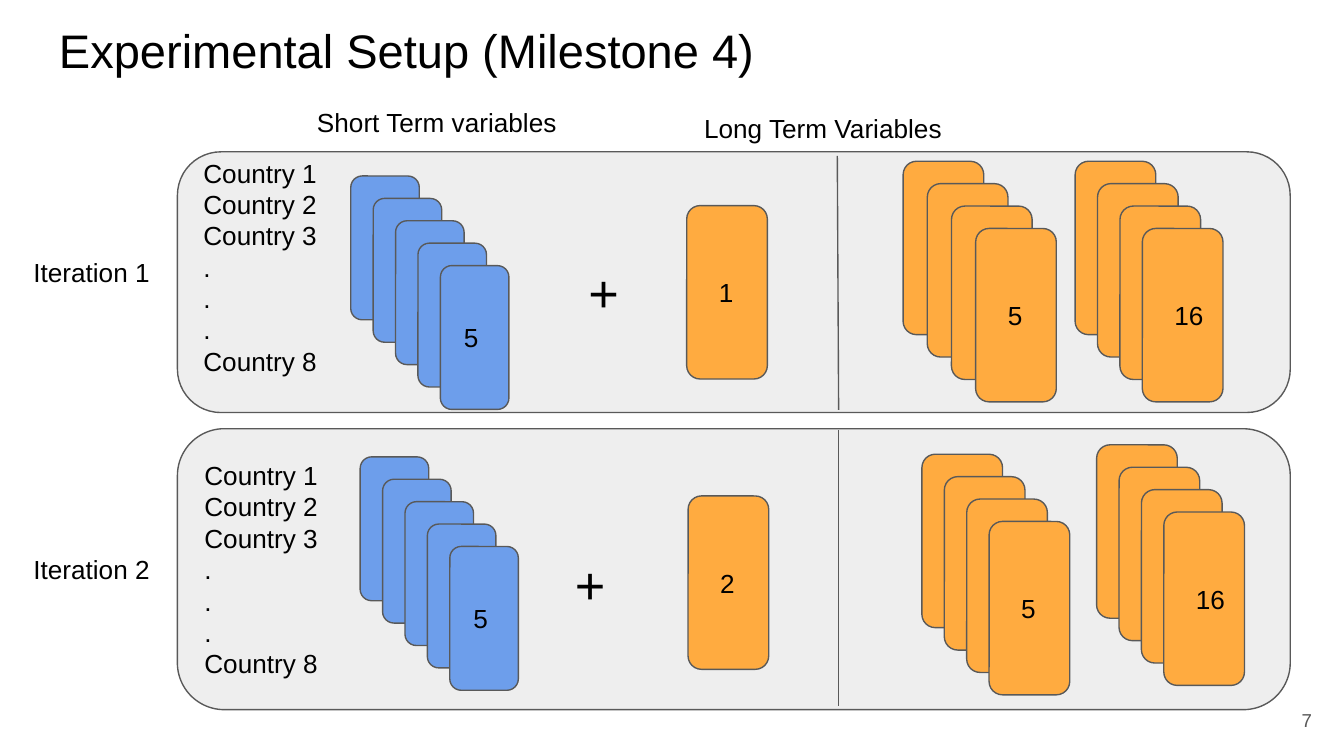
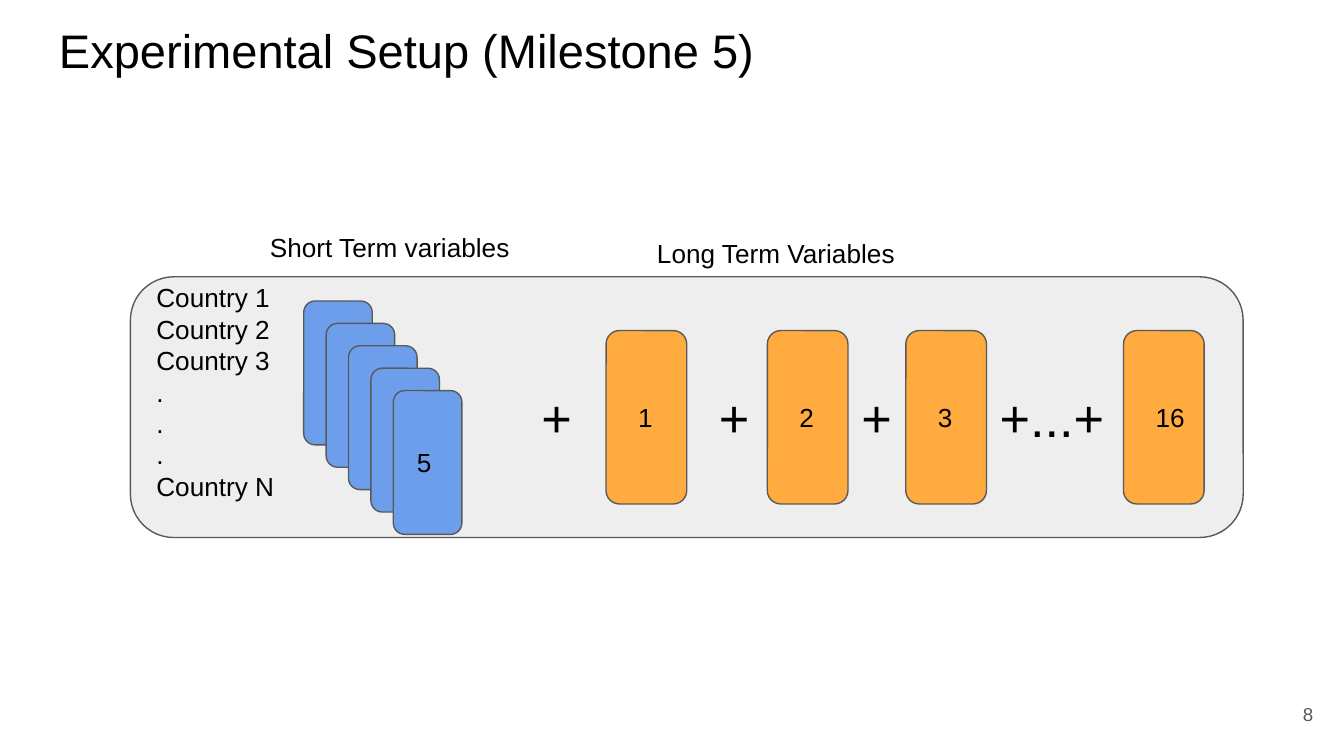
from lxml import etree
from pptx import Presentation
from pptx.dml.color import RGBColor
from pptx.enum.shapes import MSO_CONNECTOR, MSO_SHAPE
from pptx.enum.text import MSO_ANCHOR, PP_ALIGN
from pptx.oxml.ns import qn
from pptx.util import Inches, Pt

ROUND = MSO_SHAPE.ROUNDED_RECTANGLE
STRAIGHT = MSO_CONNECTOR.STRAIGHT
TOP, MIDDLE = MSO_ANCHOR.TOP, MSO_ANCHOR.MIDDLE
LEFT, RIGHT = PP_ALIGN.LEFT, PP_ALIGN.RIGHT

FONT = "Arial"
BLACK, GREY, PALE, WHITE = "000000", "595959", "EEEEEE", "FFFFFF"
BLUE, ORANGE = "6D9EEB", "FFAB40"
SHORT, LONG = (0.51, 1.07), (0.6, 1.29)
PADS = {BLUE: 0.15, ORANGE: 0.21}
STEP = 1 / 6
WIDE = 8.28


def color(code):
    """Turn a hex string into a colour."""
    return RGBColor.from_string(code)


def write(shape, lines, size=14, tint=BLACK, align=LEFT, anchor=TOP,
          pad=0.1, right=0.1, base=0.1):
    """Fill a shape with one paragraph for each line."""
    frame = shape.text_frame
    frame.word_wrap = True
    frame.vertical_anchor = anchor
    frame.margin_left, frame.margin_right = Inches(pad), Inches(right)
    frame.margin_top, frame.margin_bottom = Inches(0.1), Inches(base)
    for i, line in enumerate(lines):
        para = frame.add_paragraph() if i else frame.paragraphs[0]
        para.alignment = align
        run = para.add_run()
        run.text = line
        run.font.name = FONT
        run.font.size = Pt(size)
        run.font.color.rgb = color(tint)


def label(slide, text, x, y, w, h=0.44, **style):
    """Add a text box with one line."""
    box = slide.shapes.add_textbox(Inches(x), Inches(y), Inches(w), Inches(h))
    write(box, [text], **style)


def plus(slide, x, y, text="+", w=0.32):
    """Add a large plus sign."""
    label(slide, text, x, y, w, 0.67, size=28)


def card(slide, x, y, w, h, fill):
    """Add an outlined rounded box."""
    shape = slide.shapes.add_shape(ROUND, Inches(x), Inches(y), Inches(w), Inches(h))
    shape.shadow.inherit = False
    shape.adjustments[0] = 1 / 6
    shape.fill.solid()
    shape.fill.fore_color.rgb = color(fill)
    shape.line.color.rgb = color(GREY)
    shape.line.width = Pt(0.75)
    return shape


def stack(slide, x, y, text, fill=ORANGE, count=1, step=STEP):
    """Add a cascade of cards with a number on the front one."""
    w, h = SHORT if fill == BLUE else LONG
    for i in range(count):
        front = card(slide, x + i * step, y + i * STEP, w, h, fill)
    write(front, [text], anchor=MIDDLE, pad=PADS[fill], right=0.05)


def panel(slide, x, y, h, last, base=0.1):
    """Add a grey panel that lists the countries."""
    names = [f"Country {n}" for n in (1, 2, 3)] + ["."] * 3 + [f"Country {last}"]
    write(card(slide, x, y, WIDE, h, PALE), names, anchor=MIDDLE, base=base)


def divide(slide, x1, y1, x2, y2):
    """Add a thin dividing line."""
    line = slide.shapes.add_connector(
        STRAIGHT, Inches(x1), Inches(y1), Inches(x2), Inches(y2))
    line.line.color.rgb = color(GREY)
    line.line.width = Pt(0.75)
    etree.SubElement(line._element.spPr, qn("a:effectLst"))


def start(slide, x, y, last):
    """Add the panel, headings and short term cards of a first row."""
    panel(slide, x, y, 1.94, last, base=0.33)
    label(slide, "Short Term variables", x + 0.94, y - 0.44, 2.02)
    label(slide, "Long Term Variables", x + 3.82, y - 0.39, 2.2)
    stack(slide, x + 1.29, y + 0.18, "5", BLUE, 5)
    plus(slide, x + 2.96, y + 0.71)


def page(deck, title, number, x, y):
    """Add a slide with its title and page number."""
    slide = deck.slides.add_slide(deck.slide_layouts[6])
    slide.background.fill.solid()
    slide.background.fill.fore_color.rgb = color(WHITE)
    label(slide, title, 0.34, 0.06, 9.32, 0.63, size=25.2)
    label(slide, number, x, y, 0.6, 0.43, size=10, tint=GREY,
          align=RIGHT, anchor=MIDDLE)
    return slide


def fourth(deck):
    """Build the slide with two iterations."""
    slide = page(deck, "Experimental Setup (Milestone 4)", "7", 9.26, 5.14)
    start(slide, 1.32, 1.13, "8")
    stack(slide, 5.11, 1.53, "1")
    stack(slide, 6.72, 1.2, "5", count=4, step=0.18)
    stack(slide, 8, 1.2, "16", count=4)
    divide(slide, 6.23, 1.16, 6.24, 3.05)

    panel(slide, 1.32, 3.19, 2.09, "8")
    stack(slide, 2.68, 3.4, "5", BLUE, 5)
    plus(slide, 4.18, 4.01, w=0.43)
    stack(slide, 5.12, 3.69, "2")
    stack(slide, 6.86, 3.38, "5", count=4)
    stack(slide, 8.16, 3.31, "16", count=4)
    divide(slide, 6.24, 3.2, 6.24, 5.25)

    for n, y in enumerate((1.81, 4.02), 1):
        label(slide, f"Iteration {n}", 0.15, y, 1.14)


def fifth(deck):
    """Build the slide with all variables in one row."""
    slide = page(deck, "Experimental Setup (Milestone 5)", "8", 9.27, 5.1)
    start(slide, 0.97, 2.06, "N")
    for text, x in (("1", 4.51), ("2", 5.71), ("3", 6.74), ("16", 8.36)):
        stack(slide, x, 2.46, text)
    for x in (5.25, 6.31):
        plus(slide, x, 2.77)
    plus(slide, 7.34, 2.77, "+...+", 1.02)


def main():
    """Build and save the deck."""
    deck = Presentation()
    deck.slide_width, deck.slide_height = Inches(10), Inches(10 * 9 / 16)
    fourth(deck)
    fifth(deck)
    deck.save("out.pptx")


if __name__ == "__main__":
    main()
